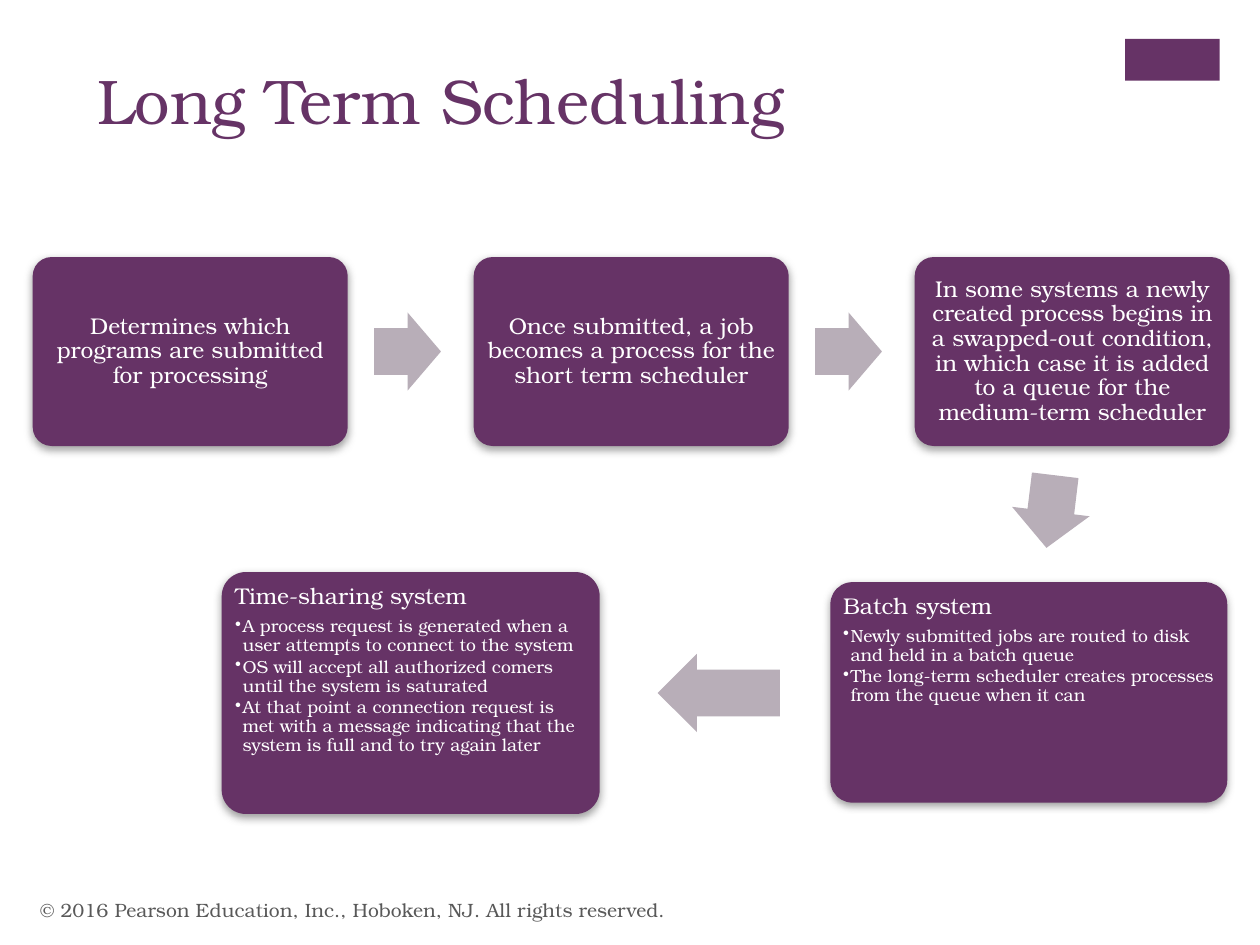
from lxml import etree
from pptx import Presentation
from pptx.dml.color import RGBColor
from pptx.enum.shapes import MSO_SHAPE
from pptx.enum.text import MSO_ANCHOR, MSO_AUTO_SIZE, PP_ALIGN
from pptx.oxml import parse_xml
from pptx.oxml.ns import nsdecls, qn
from pptx.util import Pt

RECT = MSO_SHAPE.RECTANGLE
ROUND_RECT = MSO_SHAPE.ROUNDED_RECTANGLE
RIGHT_ARROW = MSO_SHAPE.RIGHT_ARROW
TOP, MIDDLE = MSO_ANCHOR.TOP, MSO_ANCHOR.MIDDLE
LEFT, CENTER = PP_ALIGN.LEFT, PP_ALIGN.CENTER
NO_AUTOSIZE = MSO_AUTO_SIZE.NONE

PURPLE = RGBColor(0x66, 0x33, 0x66)
MAUVE = RGBColor(0xB8, 0xAE, 0xB8)
WHITE = RGBColor(0xFF, 0xFF, 0xFF)
GRAY = RGBColor(0x59, 0x59, 0x59)
FONT = "TeX Gyre Bonum"

EMU_PER_PX = 9144  # 100 px to the inch
TITLE_ONLY = 5

STEP_LEFT, STEP_TOP, STEP_W, STEP_H, STEP_PITCH = 26, 204, 250, 150, 350
STEPS = [
    "Determines which programs are submitted for processing",
    "Once submitted, a job becomes a process for the short term scheduler",
    "In some systems a newly created process begins in a swapped-out "
    "condition, in which case it is added to a queue for the "
    "medium-term scheduler",
]
BATCH = [
    "Newly submitted jobs are routed to disk and held in a batch queue",
    "The long-term scheduler creates processes from the queue when it can",
]
TIME_SHARING = [
    "A process request is generated when a user attempts to connect to the system",
    "OS will accept all authorized comers until the system is saturated",
    "At that point a connection request is met with a message indicating "
    "that the system is full and to try again later",
]


def px(n):
    return n * EMU_PER_PX


def style(p, size, color, align=LEFT):
    p.alignment = align
    for r in p.runs:
        r.font.name = FONT
        r.font.size = Pt(size)
        r.font.color.rgb = color


def add_shape(slide, kind, x, y, w, h, color):
    sp = slide.shapes.add_shape(kind, px(x), px(y), px(w), px(h))
    sp.shadow.inherit = False
    sp.fill.solid()
    sp.fill.fore_color.rgb = color
    sp.line.fill.background()
    return sp


def add_soft_shadow(sp):
    effects = sp._element.spPr.find(qn("a:effectLst"))
    effects.append(parse_xml(
        f'<a:outerShdw {nsdecls("a")} blurRad="63500" dist="25400" '
        'dir="5400000" rotWithShape="0"><a:srgbClr val="808080">'
        '<a:alpha val="75000"/></a:srgbClr></a:outerShdw>'))


def add_bullet(p):
    pPr = p._p.get_or_add_pPr()
    pPr.set("marL", str(px(6)))
    pPr.set("indent", str(px(-6)))
    etree.SubElement(pPr, qn("a:buChar")).set("char", "•")


def add_card(slide, x, y, w, h, heading, bullets=()):
    sp = add_shape(slide, ROUND_RECT, x, y, w, h, PURPLE)
    sp.adjustments[0] = 0.1
    add_soft_shadow(sp)
    tf = sp.text_frame
    tf.word_wrap = True
    tf.margin_left = tf.margin_right = px(5)
    tf.margin_top = tf.margin_bottom = px(5)
    tf.vertical_anchor = TOP if bullets else MIDDLE
    p = tf.paragraphs[0]
    p.text = heading
    p.line_spacing = 0.9
    if bullets:
        p.space_after = Pt(4.5)
    style(p, 13, WHITE, LEFT if bullets else CENTER)
    for text in bullets:
        p = tf.add_paragraph()
        p.text = text
        add_bullet(p)
        p.line_spacing = 0.9
        p.space_after = Pt(1.5)
        style(p, 10, WHITE)


def add_arrow(slide, x, y, w, rotation=0):
    sp = add_shape(slide, RIGHT_ARROW, x, y, w, 62, MAUVE)
    sp.adjustments[0] = 0.6
    sp.adjustments[1] = 0.5
    sp.rotation = rotation


def set_title(slide, text):
    sp = slide.shapes.title
    sp.left, sp.top, sp.width, sp.height = px(67), px(44), px(826), px(122)
    tf = sp.text_frame
    tf.text = text
    tf.word_wrap = True
    tf.auto_size = NO_AUTOSIZE
    tf.vertical_anchor = TOP
    style(tf.paragraphs[0], 36, PURPLE)


def add_footer(slide, text):
    sp = slide.shapes.add_textbox(px(22), px(702), px(670), px(40))
    tf = sp.text_frame
    tf.text = text
    tf.word_wrap = True
    tf.vertical_anchor = MIDDLE
    style(tf.paragraphs[0], 11, GRAY)


def main():
    prs = Presentation()
    prs.slide_width, prs.slide_height = px(1000), px(750)
    slide = prs.slides.add_slide(prs.slide_layouts[TITLE_ONLY])

    # Heading and corner block
    add_shape(slide, RECT, 893, 31, 75, 33, PURPLE)
    set_title(slide, "Long Term Scheduling")

    # Upper row: three steps joined by arrows
    for i, text in enumerate(STEPS):
        x = STEP_LEFT + i * STEP_PITCH
        add_card(slide, x, STEP_TOP, STEP_W, STEP_H, text)
        if i < len(STEPS) - 1:
            add_arrow(slide, x + STEP_W + 21, 248, 53)

    # Lower row: flow turns down, then back to the left
    add_arrow(slide, 805, 375, 58, 96.9)
    add_card(slide, 659, 462, 315, 175, "Batch system", BATCH)
    add_arrow(slide, 522, 519, 97, 180)
    add_card(slide, 176, 454, 300, 192, "Time-sharing system", TIME_SHARING)

    add_footer(slide, "© 2016 Pearson Education, Inc., Hoboken, NJ. All rights reserved.")
    prs.save("out.pptx")


if __name__ == "__main__":
    main()
